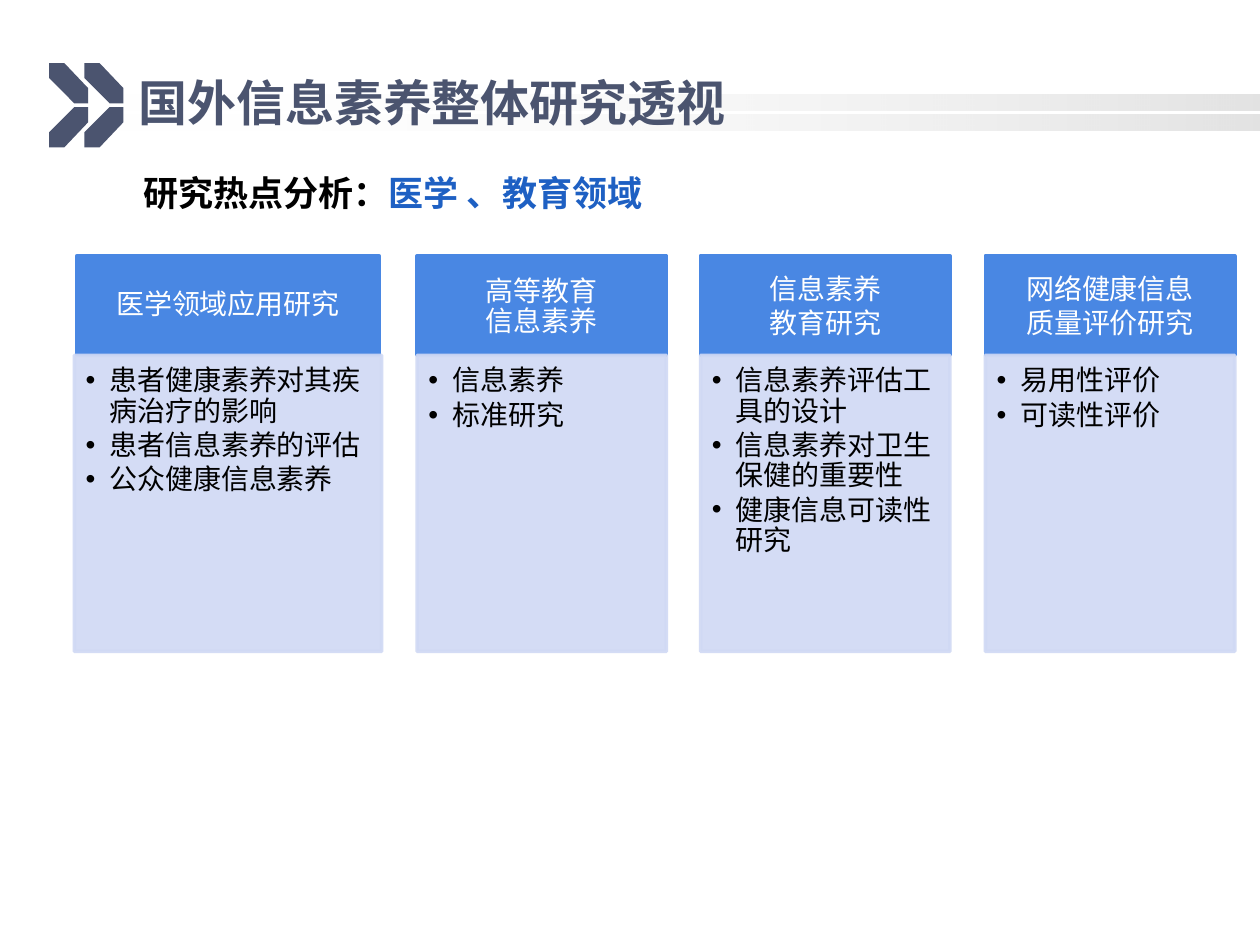
from dataclasses import dataclass

from lxml import etree
from pptx import Presentation
from pptx.dml.color import RGBColor
from pptx.enum.shapes import MSO_SHAPE
from pptx.enum.text import MSO_ANCHOR, MSO_AUTO_SIZE, PP_ALIGN
from pptx.oxml.ns import qn
from pptx.util import Inches, Pt

RECTANGLE = MSO_SHAPE.RECTANGLE
TOP, MIDDLE = MSO_ANCHOR.TOP, MSO_ANCHOR.MIDDLE
LEFT, CENTER = PP_ALIGN.LEFT, PP_ALIGN.CENTER


@dataclass(frozen=True)
class Theme:
    slate: RGBColor = RGBColor(0x4B, 0x54, 0x6F)
    black: RGBColor = RGBColor(0, 0, 0)
    white: RGBColor = RGBColor(255, 255, 255)
    gray: RGBColor = RGBColor(0x96, 0x96, 0x96)
    accent: RGBColor = RGBColor(0x1E, 0x60, 0xC3)
    header: RGBColor = RGBColor(0x49, 0x87, 0xE3)
    panel: RGBColor = RGBColor(0xD0, 0xD9, 0xF4)
    latin: str = "Arial"
    chinese: str = "Noto Sans CJK SC"
    title_size: Pt = Pt(28)
    subtitle_size: Pt = Pt(20)
    body_size: Pt = Pt(16)


THEME = Theme()


def set_alpha(shape, percents):
    """Give the shape's colours, in order, these opacities."""
    colors = shape._element.spPr.iter(qn("a:srgbClr"))
    for color, percent in zip(colors, percents):
        etree.SubElement(color, qn("a:alpha"), val=str(percent * 1000))


def add_card(page, left, top, width, height, color, anchor, margins):
    """Add a plain rectangle ready for text."""
    card = page.shapes.add_shape(
        RECTANGLE, Inches(left), Inches(top), Inches(width), Inches(height))
    card.shadow.inherit = False
    card.fill.solid()
    card.fill.fore_color.rgb = color
    card.line.color.rgb = color
    card.line.width = Pt(2)
    frame = card.text_frame
    frame.word_wrap = True
    frame.vertical_anchor = anchor
    (frame.margin_left, frame.margin_top,
     frame.margin_right, frame.margin_bottom) = map(Inches, margins)
    return card


deck = Presentation()
deck.slide_width, deck.slide_height = Inches(10), Inches(7.5)
page = deck.slides.add_slide(deck.slide_layouts[6])

# Fading bars behind the title
for top in (0.75, 0.91):
    bar = page.shapes.add_shape(
        RECTANGLE, Inches(0.75), Inches(top), Inches(9.25), Inches(0.13))
    bar.shadow.inherit = False
    bar.line.fill.background()
    bar.fill.gradient()
    bar.fill.gradient_angle = 0
    for stop, color in zip(bar.fill.gradient_stops, (THEME.white, THEME.gray)):
        stop.color.rgb = color
    set_alpha(bar, (0, 27))

# Double chevron, each made of an upper and a lower arm
UPPER_ARM = [(0.39, 0.5), (0.39, 0.62), (0.59, 0.82),
             (0.7, 0.82), (0.7, 0.7), (0.51, 0.5)]
LOWER_ARM = [(x, 1.67 - y) for x, y in UPPER_ARM]
for offset in (0, 0.28):
    for arm in (UPPER_ARM, LOWER_ARM):
        points = [(Inches(x + offset), Inches(y)) for x, y in arm]
        builder = page.shapes.build_freeform(*points[0])
        builder.add_line_segments(points[1:], close=True)
        chevron = builder.convert_to_shape()
        chevron.shadow.inherit = False
        chevron.fill.solid()
        chevron.fill.fore_color.rgb = THEME.slate
        chevron.line.fill.background()

# Title
title = page.shapes.add_textbox(Inches(1), Inches(0.5), Inches(8.25), Inches(0.62))
title.text_frame.word_wrap = True
title.text_frame.vertical_anchor = MIDDLE
para = title.text_frame.paragraphs[0]
para.text = "国外信息素养整体研究透视"
para.font.name = THEME.latin
para.font.size = THEME.title_size
para.font.bold = True
para.font.color.rgb = THEME.slate

# Subtitle in two colours
subtitle = page.shapes.add_textbox(
    Inches(1.04), Inches(1.31), Inches(5.7), Inches(0.44))
subtitle.text_frame.word_wrap = True
subtitle.text_frame.auto_size = MSO_AUTO_SIZE.SHAPE_TO_FIT_TEXT
para = subtitle.text_frame.paragraphs[0]
para.font.name = THEME.chinese
para.font.size = THEME.subtitle_size
para.font.bold = True
for text, color in (("研究热点分析：", THEME.black),
                    ("医学 、教育领域", THEME.accent)):
    span = para.add_run()
    span.text = text
    span.font.color.rgb = color

# Topic columns: panel left and width, header inset,
# header lines as (text, line spacing, points after), bullets
COLUMNS = [
    (0.59, 2.44, 0.02, [("医学领域应用研究", 0.9, 5.6)],
     ["患者健康素养对其疾病治疗的影响", "患者信息素养的评估", "公众健康信息素养"]),
    (3.31, 1.98, 0, [("高等教育", 1, 0), ("信息素养", 0.9, 5.6)],
     ["信息素养", "标准研究"]),
    (5.56, 1.98, 0, [("信息素养", 1, 0), ("教育研究", 1, 5.6)],
     ["信息素养评估工具的设计", "信息素养对卫生保健的重要性", "健康信息可读性研究"]),
    (7.82, 1.98, 0, [("网络健康信息", 1, 0), ("质量评价研究", 1, 0)],
     ["易用性评价", "可读性评价"]),
]
for left, width, inset, header_lines, bullets in COLUMNS:
    header = add_card(page, left + inset, 2.03, width - 2 * inset, 0.79,
                      THEME.header, MIDDLE, (0.12, 0.07, 0.12, 0.07))
    panel = add_card(page, left, 2.82, width, 2.35,
                     THEME.panel, TOP, (0.09, 0.09, 0.12, 0.14))
    set_alpha(panel, (90, 90))
    bullet_lines = [(text, 0.9, 2.4) for text in bullets]
    for card, lines, color, align in (
            (header, header_lines, THEME.white, CENTER),
            (panel, bullet_lines, THEME.black, LEFT)):
        frame = card.text_frame
        for index, (text, spacing, after) in enumerate(lines):
            para = frame.add_paragraph() if index else frame.paragraphs[0]
            para.text = text
            para.alignment = align
            para.line_spacing = spacing
            para.space_after = Pt(after)
            if card is panel:
                para.level = 1
                properties = para._p.get_or_add_pPr()
                properties.set("marL", str(Inches(0.19)))
                properties.set("indent", str(Inches(-0.19)))
                etree.SubElement(properties, qn("a:buFont"), typeface=THEME.latin)
                etree.SubElement(properties, qn("a:buChar"), char="•")
            para.font.name = THEME.latin
            para.font.size = THEME.body_size
            para.font.color.rgb = color

deck.save("out.pptx")
